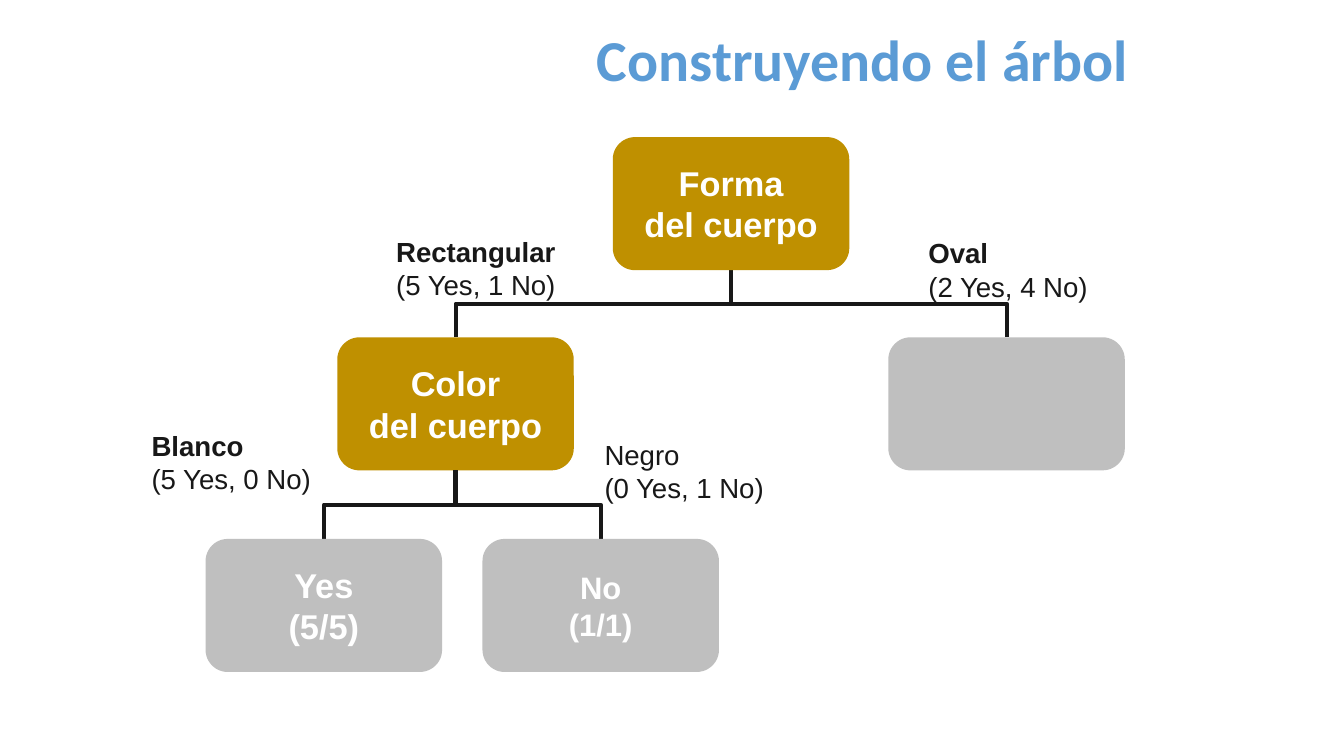
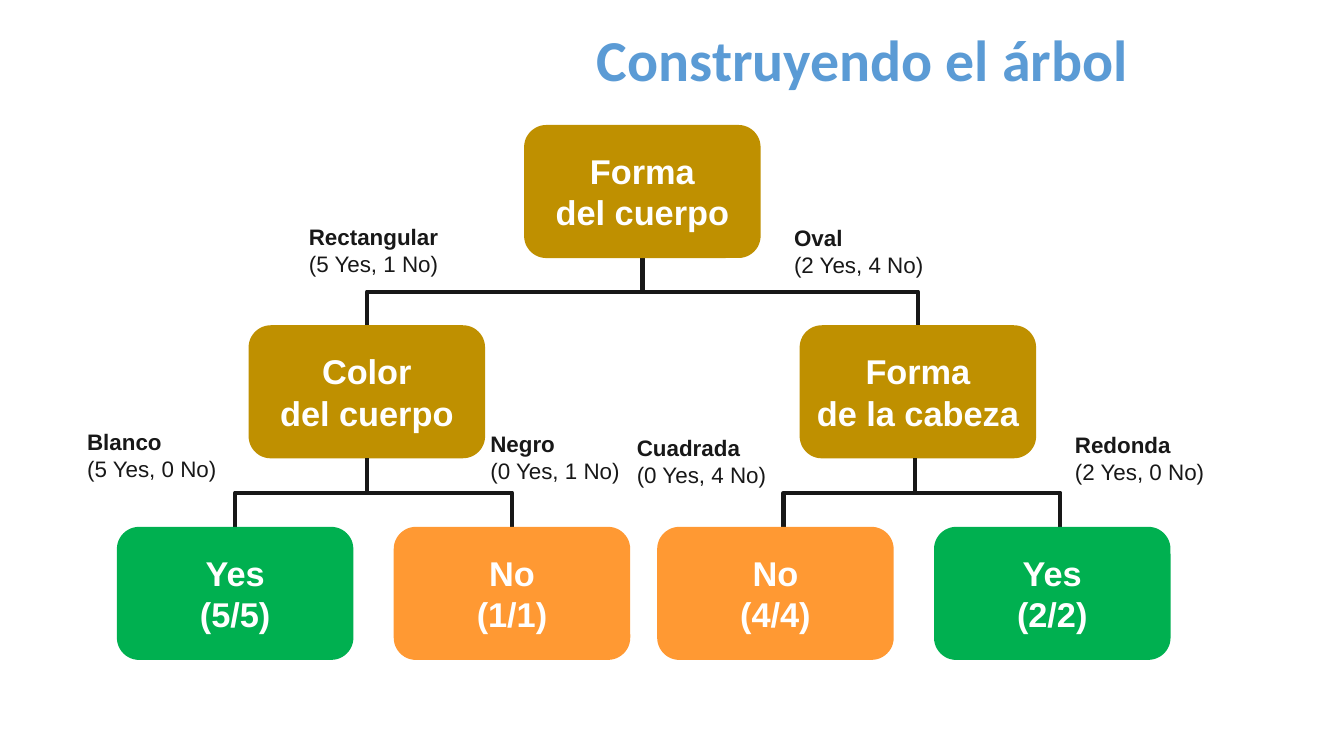
from lxml.etree import SubElement
from pptx import Presentation
from pptx.dml.color import RGBColor
from pptx.enum.shapes import MSO_CONNECTOR, MSO_SHAPE
from pptx.enum.text import MSO_ANCHOR, PP_ALIGN
from pptx.oxml.ns import qn
from pptx.util import Inches, Pt

GOLD, GRAY, GREEN, ORANGE = "BF9000", "BFBFBF", "00B050", "FF9933"
BLUE, INK, WHITE = "5B9BD5", "181818", "FFFFFF"
BOX_W, BOX_H = 1.76, 0.99
SPREAD = (-2.05, 2.05)      # root to its two branches
LEAF_SPREAD = (-0.98, 1.08)  # branch to its two leaves
ROW_2, ROW_3 = 1.49, 2.99   # row tops below the root's top


def color(code):
    return RGBColor.from_string(code)


class Deck:
    def __init__(self):
        self.prs = Presentation()
        self.prs.slide_width = Inches(10)
        self.prs.slide_height = Inches(10) * 9 // 16
        self.slide = None

    def start(self, title):
        self.slide = self.prs.slides.add_slide(self.prs.slide_layouts[6])
        frame = self.text(title, 3.25, 0.2, 6.33, 0.54)
        frame.vertical_anchor = MSO_ANCHOR.MIDDLE
        self.style(frame, 31, BLUE, font="Calibri", align=PP_ALIGN.CENTER)
        frame.paragraphs[0].line_spacing = 0.9

    def style(self, frame, size, tint, bold=True, font="Arial", align=None):
        for para in frame.paragraphs:
            para.alignment = align
            for run in para.runs:
                run.font.name, run.font.size = font, Pt(size)
                run.font.bold = bold
                run.font.color.rgb = color(tint)

    def text(self, words, left, top, width, height):
        box = self.slide.shapes.add_textbox(
            Inches(left), Inches(top), Inches(width), Inches(height))
        frame = box.text_frame
        frame.word_wrap = True
        frame.text = words
        return frame

    def label(self, name, count, left, top, size, width=2.43, bold=True):
        """Name a branch, with its count of cases on a second line."""
        frame = self.text(f"{name}\n{count}", left, top, width, 0.6)
        self.style(frame, size, INK, bold=False)
        frame.paragraphs[0].runs[0].font.bold = bold

    def node(self, words, mid, top, fill, size=18.4):
        """Draw a tree box centred on mid."""
        box = self.slide.shapes.add_shape(
            MSO_SHAPE.ROUNDED_RECTANGLE, Inches(mid - BOX_W / 2), Inches(top),
            Inches(BOX_W), Inches(BOX_H))
        box.shadow.inherit = False
        box.fill.solid()
        box.fill.fore_color.rgb = color(fill)
        box.line.fill.background()
        frame = box.text_frame
        frame.margin_left = frame.margin_right = 0
        frame.margin_top = frame.margin_bottom = 0
        frame.vertical_anchor = MSO_ANCHOR.MIDDLE
        if words:
            frame.text = words
            self.style(frame, size, WHITE, align=PP_ALIGN.CENTER)

    def fork(self, mid, top, base, spread):
        """Join a parent's foot at (mid, top) to two children at base."""
        for step in reversed(spread):
            self.elbow(mid + step, base, mid, top)

    def elbow(self, x1, y1, x2, y2):
        """Bend up from (x1, y1) to (x2, y2): a turned connector, so that
        both of its ends are vertical."""
        mid_x, mid_y = (x1 + x2) / 2, (y1 + y2) / 2
        side = (y1 - y2) / 2 * (1 if x1 > x2 else -1)
        half = abs(x1 - x2) / 2
        line = self.slide.shapes.add_connector(
            MSO_CONNECTOR.ELBOW,
            Inches(mid_x + side), Inches(mid_y - half),
            Inches(mid_x - side), Inches(mid_y + half))
        line.line.color.rgb = color(INK)
        line.line.width = Pt(2.25)
        props = line._element.spPr
        turn = 90 if x1 > x2 else 270
        props.find(qn("a:xfrm")).set("rot", str(turn * 60000))
        SubElement(props, qn("a:effectLst"))

    def tree(self, mid, top, right, fill):
        """Draw the root and its two branches; right is the second one."""
        self.fork(mid, top + BOX_H, top + ROW_2, SPREAD)
        self.node("Forma\vdel cuerpo", mid, top, GOLD)
        self.node("Color\ndel cuerpo", mid + SPREAD[0], top + ROW_2, GOLD)
        self.node(right, mid + SPREAD[1], top + ROW_2, fill)

    def leaves(self, hub, top, nodes, shift=0):
        """Draw two leaves under hub; shift moves the boxes off the fork."""
        self.fork(hub, top + ROW_2 + BOX_H, top + ROW_3, LEAF_SPREAD)
        for step, (words, fill, size) in zip(LEAF_SPREAD, nodes):
            self.node(words, hub + step + shift, top + ROW_3, fill, size)


def main():
    deck = Deck()
    title = "Construyendo el árbol"

    deck.start(title)
    mid, top = 5.44, 1.02
    deck.tree(mid, top, "", GRAY)
    deck.label("Oval", "(2 Yes, 4 No)", 6.81, 1.71, 14.8)
    deck.label("Rectangular", "(5 Yes, 1 No)", 2.85, 1.7, 14.8)
    deck.leaves(mid + SPREAD[0], top,
                [("Yes\n(5/5)", GRAY, 18.4), ("No\n(1/1)", GRAY, 16.6)])
    deck.label("Negro", "(0 Yes, 1 No)", 4.4, 3.21, 14.8, bold=False)
    deck.label("Blanco", "(5 Yes, 0 No)", 1.03, 3.14, 14.8)

    deck.start(title)
    mid, top = 4.78, 0.93
    deck.tree(mid, top, "Forma\nde la cabeza", GOLD)
    deck.leaves(mid + SPREAD[0], top,
                [("Yes\n(5/5)", GREEN, 18.4), ("No\n(1/1)", ORANGE, 18.4)])
    deck.leaves(6.81, top,
                [("No\n(4/4)", ORANGE, 18.4), ("Yes\n(2/2)", GREEN, 18.4)],
                shift=-0.06)
    for name, count, left, y, width in [
            ("Oval", "(2 Yes, 4 No)", 5.81, 1.62, 2.43),
            ("Rectangular", "(5 Yes, 1 No)", 2.2, 1.61, 2.43),
            ("Negro", "(0 Yes, 1 No)", 3.55, 3.15, 1.35),
            ("Blanco", "(5 Yes, 0 No)", 0.55, 3.14, 1.47),
            ("Redonda", "(2 Yes, 0 No)", 7.9, 3.16, 2.43),
            ("Cuadrada", "(0 Yes, 4 No)", 4.64, 3.18, 2.43)]:
        deck.label(name, count, left, y, 12, width)

    deck.prs.save("out.pptx")


if __name__ == "__main__":
    main()
